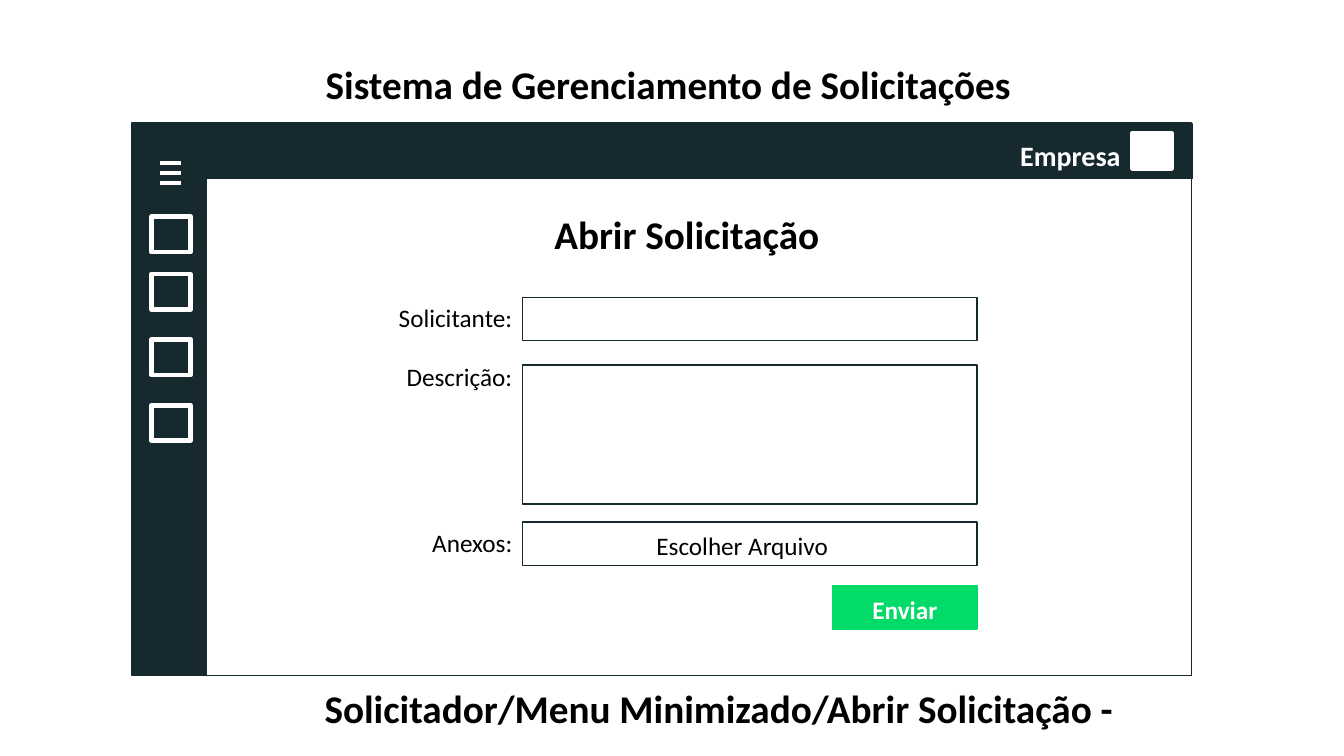
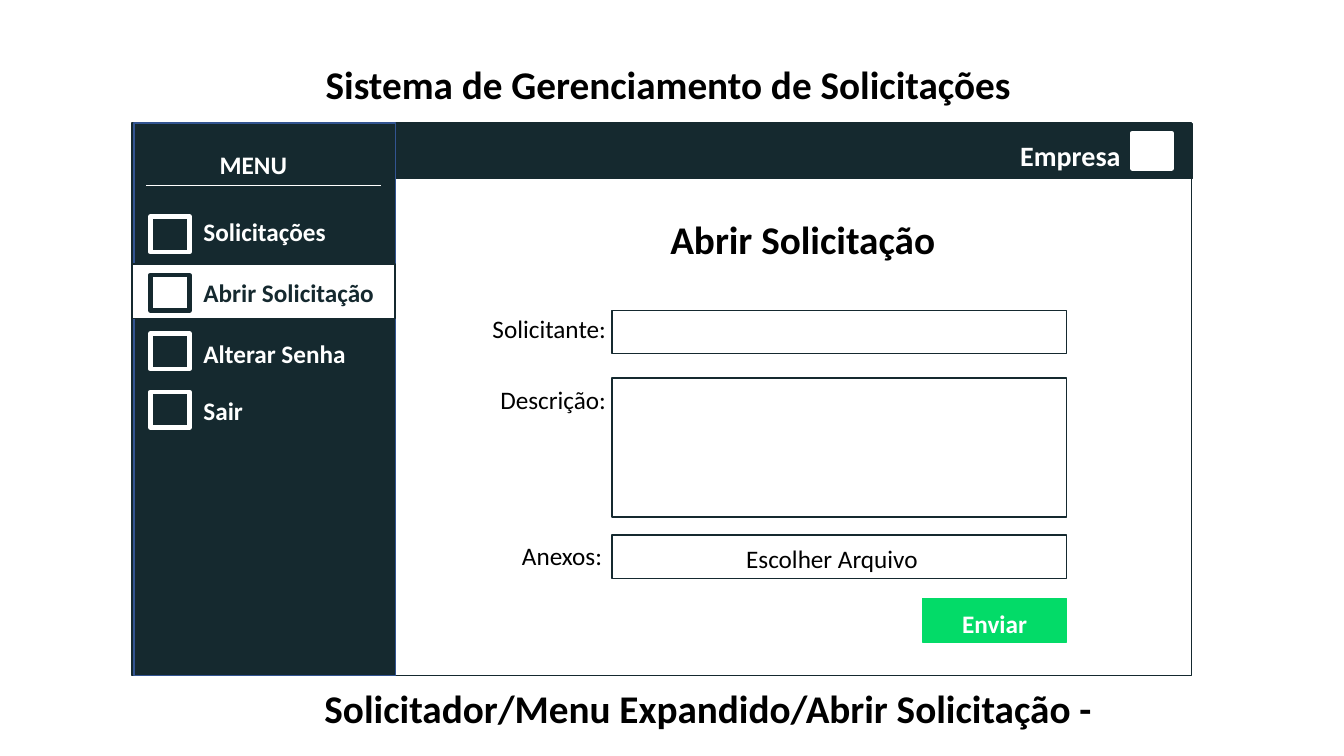
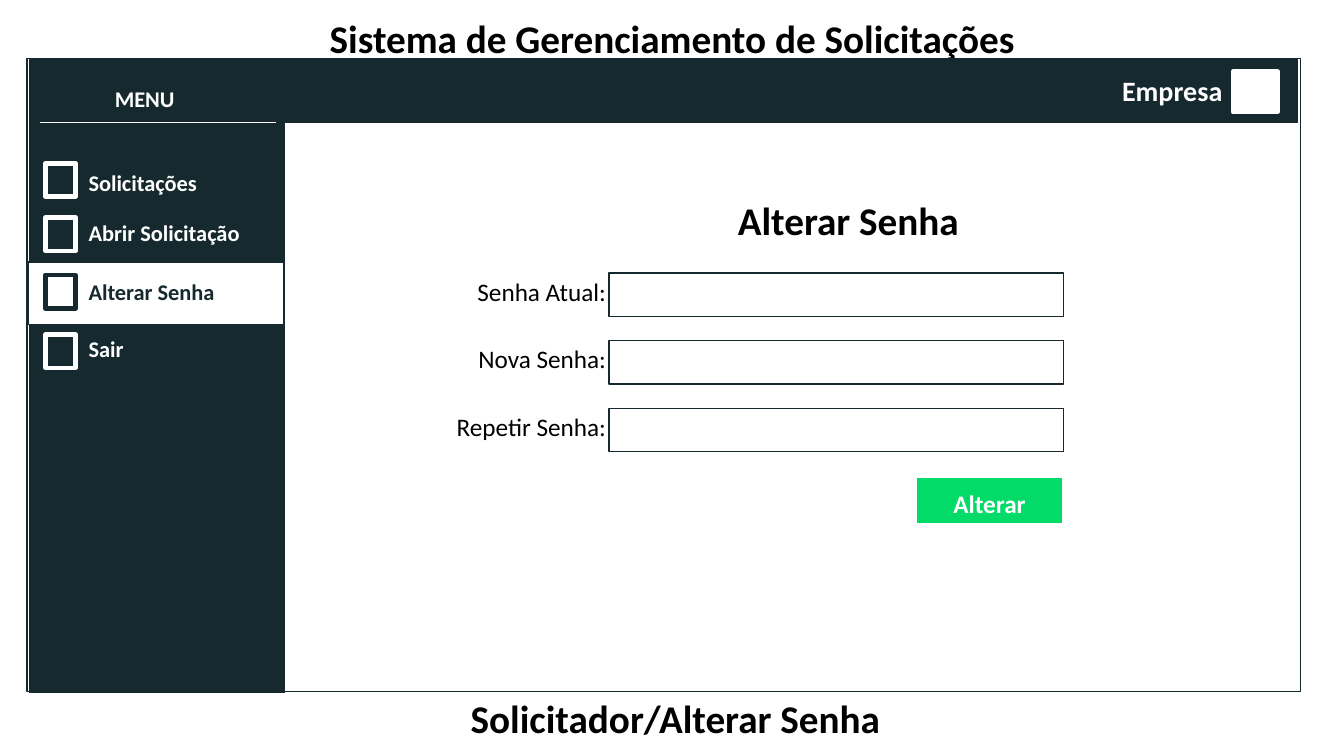
import pptx
import pptx.dml.color
import pptx.enum.shapes
import pptx.enum.text
import pptx.oxml.ns
import pptx.util
from lxml import etree

Inches = pptx.util.Inches
Align = pptx.enum.text.PP_ALIGN
Anchor = pptx.enum.text.MSO_ANCHOR

BLACK = pptx.dml.color.RGBColor(0x00, 0x00, 0x00)
WHITE = pptx.dml.color.RGBColor(0xFF, 0xFF, 0xFF)
DARK = pptx.dml.color.RGBColor(0x15, 0x29, 0x2F)
GREEN = pptx.dml.color.RGBColor(0x03, 0xDB, 0x68)
BLUE = pptx.dml.color.RGBColor(0x32, 0x54, 0x91)

FONT = "Calibri"
SYSTEM_NAME = "Sistema de Gerenciamento de Solicitações"
HEADING_SIZE = 28
BODY_SIZE = 18
ICON_LINE = 3.25
FIELD_WIDTH, FIELD_HEIGHT = 4.51, 0.43
FIELD_STEP = 0.67
LABEL_WIDTH = 2


class Wireframe:
    """Holds the deck, its style and the slide being drawn."""

    def __init__(self):
        self.deck = pptx.Presentation()
        self.deck.slide_width = Inches(13.33)
        self.deck.slide_height = Inches(7.5)
        self.page = None

    # Basic elements
    def set_text(self, shape, words, size=BODY_SIZE, color=BLACK, bold=False,
                 align=Align.LEFT):
        frame = shape.text_frame
        frame.word_wrap = False
        frame.auto_size = pptx.enum.text.MSO_AUTO_SIZE.NONE
        frame.vertical_anchor = Anchor.TOP
        frame.text = words
        para = frame.paragraphs[0]
        para.alignment = align
        para.font.name = FONT
        para.font.size = pptx.util.Pt(size)
        para.font.bold = bold
        para.font.color.rgb = color
        return frame

    def text(self, left, top, width, words, size=BODY_SIZE, **style):
        box = self.page.shapes.add_textbox(
            Inches(left), Inches(top), Inches(width), Inches(size * 0.02 + 0.04))
        self.set_text(box, words, size, **style)

    def rect(self, left, top, width, height, fill=None, line=DARK, weight=1):
        box = self.page.shapes.add_shape(
            pptx.enum.shapes.MSO_SHAPE.RECTANGLE,
            Inches(left), Inches(top), Inches(width), Inches(height))
        box.shadow.inherit = False
        if fill is None:
            box.fill.background()
        else:
            box.fill.solid()
            box.fill.fore_color.rgb = fill
        box.line.color.rgb = line
        box.line.width = pptx.util.Pt(weight)
        return box

    def divider(self, left, right, top):
        line = self.page.shapes.add_connector(
            pptx.enum.shapes.MSO_CONNECTOR.STRAIGHT,
            Inches(left), Inches(top), Inches(right), Inches(top))
        line.line.color.rgb = WHITE
        line.line.width = pptx.util.Pt(0.5)
        properties = line._element.spPr
        etree.SubElement(properties, pptx.oxml.ns.qn("a:effectLst"))

    # Page parts
    def start(self, title_left, title_top):
        self.page = self.deck.slides.add_slide(self.deck.slide_layouts[5])
        title = self.page.shapes.title
        title.left, title.top = Inches(title_left), Inches(title_top)
        title.width, title.height = Inches(7.08), Inches(0.57)
        self.set_text(title, SYSTEM_NAME, HEADING_SIZE, bold=True)

    def heading(self, left, top, width, words):
        self.text(left, top, width, words, HEADING_SIZE, bold=True)

    def window(self, band, frame, company, avatar):
        self.rect(*band, fill=DARK)
        self.rect(*frame)
        self.rect(*avatar, fill=WHITE, line=WHITE, weight=ICON_LINE)
        self.text(*company, 1.21, "Empresa", 20, color=WHITE, bold=True)

    def menu(self, items, active, highlight, icon, label_left, size):
        """Items are (label, icon top, label top); the active one is inverted."""
        icon_left, icon_width, icon_height = icon
        self.rect(*highlight, fill=WHITE)
        for label, icon_top, label_top in items:
            color = DARK if label == active else WHITE
            self.rect(icon_left, icon_top, icon_width, icon_height,
                      line=color, weight=ICON_LINE)
            self.text(label_left, label_top, 1.9, label, size,
                      color=color, bold=True)

    # Form parts
    def label(self, right, top, words):
        self.text(right - LABEL_WIDTH, top, LABEL_WIDTH, words,
                  align=Align.RIGHT)

    def field(self, left, top, height=FIELD_HEIGHT):
        return self.rect(left, top, FIELD_WIDTH, height)

    def button(self, left, top, words):
        box = self.rect(left, top, 1.43, FIELD_HEIGHT, fill=GREEN, line=GREEN)
        frame = self.set_text(box, words, color=WHITE, bold=True,
                              align=Align.CENTER)
        frame.margin_top = Inches(0.09)

    def request_form(self, left, top, labels):
        for right, label_top, words in labels:
            self.label(right, label_top, words)
        self.field(left, top)
        self.field(left, top + FIELD_STEP, 1.38)
        chooser = self.field(left, top + 2.23)
        frame = self.set_text(chooser, "Escolher Arquivo")
        frame.margin_left = Inches(1.33)
        frame.margin_top = Inches(0.08)
        self.button(left + 3.08, top + 2.86, "Enviar")


def request_page(wire, caption, caption_width):
    """Title, window and caption shared by the two request pages."""
    wire.start(3.13, 0.55)
    wire.window(band=(1.51, 1.23, 10.32, 0.54), frame=(1.31, 1.22, 10.51, 5.48),
                company=(10.02, 1.33), avatar=(11.23, 1.32, 0.39, 0.35))
    wire.heading(3.12, 6.74, caption_width, caption)


def minimized_menu(wire):
    request_page(wire, "Solicitador/Menu Minimizado/Abrir Solicitação -", 8.11)
    wire.rect(1.33, 1.22, 0.72, 5.48, fill=DARK)
    # Menu button and icons
    for bar in range(3):
        wire.rect(1.58, 1.59 + 0.1 * bar, 0.22, 0.05, fill=WHITE)
    for icon_top in (2.15, 2.72, 3.37, 4.02):
        wire.rect(1.5, icon_top, 0.39, 0.35, line=WHITE, weight=ICON_LINE)
    # Form
    wire.heading(5.4, 2.04, 2.86, "Abrir Solicitação")
    wire.request_form(5.18, 2.95, [(5.18, 2.95, "Solicitante:"),
                                   (5.18, 3.54, "Descrição:"),
                                   (5.18, 5.18, "Anexos:")])


def expanded_menu(wire):
    request_page(wire, "Solicitador/Menu Expandido/Abrir Solicitação -", 7.9)
    # Menu
    wire.rect(1.33, 1.22, 2.59, 5.48, fill=DARK, line=BLUE)
    wire.text(2.08, 1.43, 0.88, "MENU", color=WHITE, bold=True)
    wire.divider(1.45, 3.78, 1.84)
    wire.menu([("Solicitações", 2.15, 2.1), ("Abrir Solicitação", 2.73, 2.7),
               ("Alterar Senha", 3.31, 3.31), ("Sair", 3.89, 3.87)],
              active="Abrir Solicitação", highlight=(1.31, 2.62, 2.61, 0.54),
              icon=(1.49, 0.39, 0.35), label_left=1.92, size=BODY_SIZE)
    # Form
    wire.heading(6.55, 2.09, 2.86, "Abrir Solicitação")
    wire.request_form(6.07, 3.08, [(6.11, 3.06, "Solicitante:"),
                                   (6.11, 3.76, "Descrição:"),
                                   (6.07, 5.31, "Anexos:")])


def change_password(wire):
    wire.start(3.17, 0.09)
    wire.window(band=(0.46, 0.59, 12.41, 0.62), frame=(0.27, 0.58, 12.63, 6.28),
                company=(11.03, 0.68), avatar=(12.23, 0.71, 0.44, 0.4))
    wire.heading(4.57, 6.84, 4.4, "Solicitador/Alterar Senha")
    # Menu
    wire.rect(0.29, 0.59, 2.53, 6.28, fill=DARK)
    wire.text(1.04, 0.8, 1.05, "MENU", 16, color=WHITE, bold=True)
    wire.divider(0.4, 2.74, 1.21)
    wire.menu([("Solicitações", 1.62, 1.63), ("Abrir Solicitação", 2.16, 2.12),
               ("Alterar Senha", 2.73, 2.71), ("Sair", 3.32, 3.28)],
              active="Alterar Senha", highlight=(0.28, 2.6, 2.53, 0.62),
              icon=(0.45, 0.3, 0.33), label_left=0.78, size=16)
    # Form
    wire.heading(7.22, 1.9, 2.42, "Alterar Senha")
    for row, words in enumerate(("Senha Atual:", "Nova Senha:", "Repetir Senha:")):
        top = 2.71 + FIELD_STEP * row
        wire.label(6.11, top - 0.02, words)
        wire.field(6.04, top)
    wire.button(9.1, 4.75, "Alterar")


def main():
    wire = Wireframe()
    minimized_menu(wire)
    expanded_menu(wire)
    change_password(wire)
    wire.deck.save("out.pptx")


if __name__ == "__main__":
    main()
